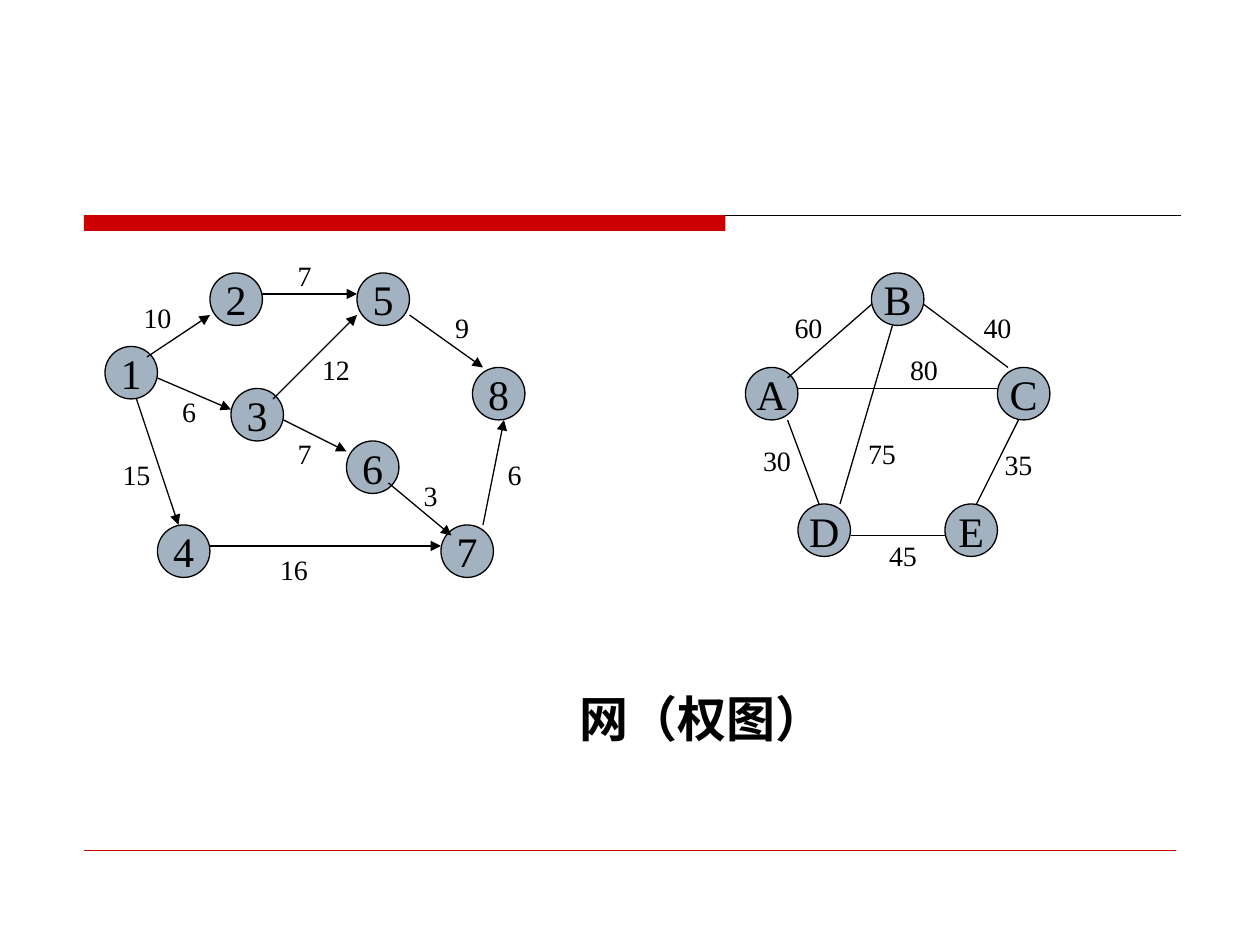
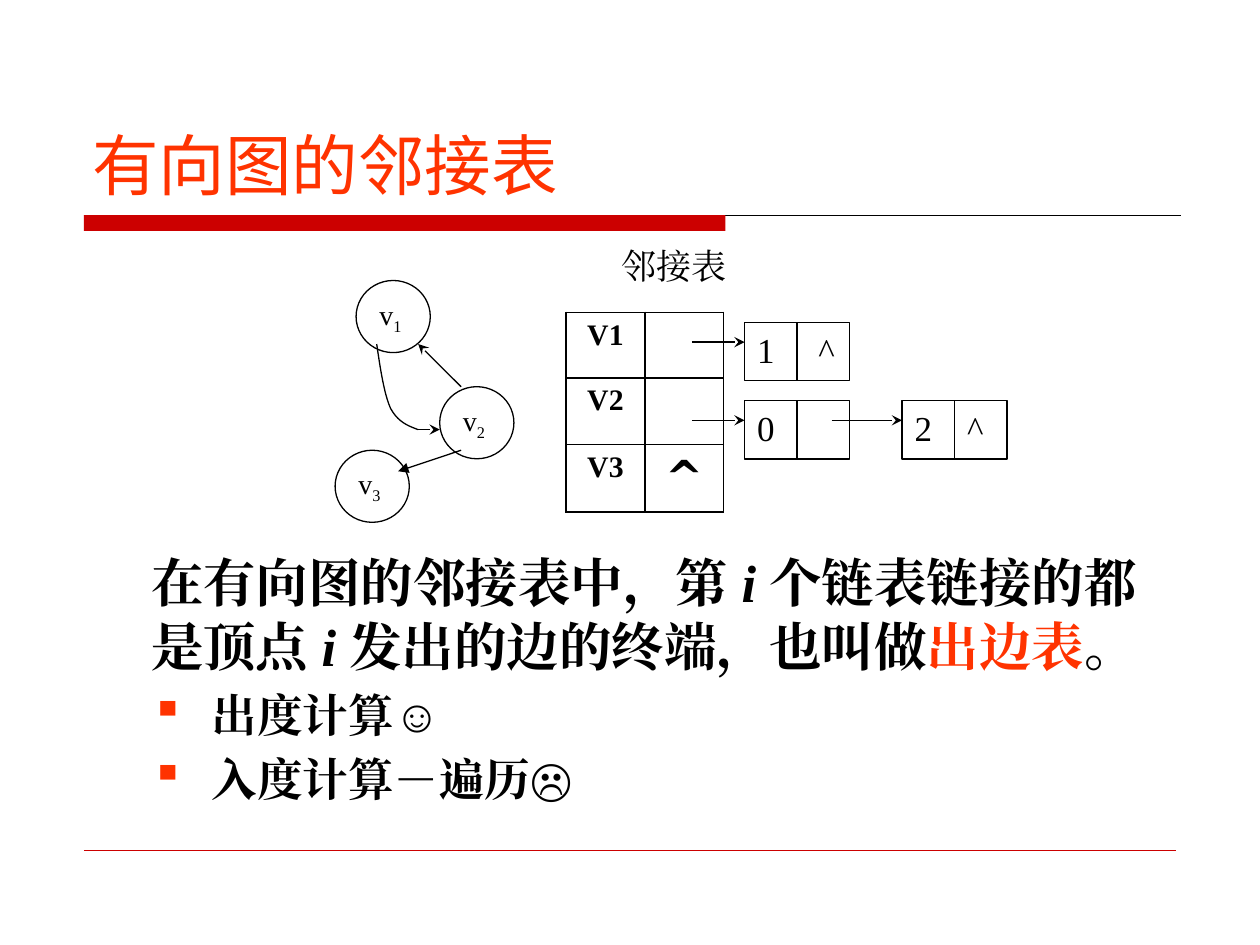
from lxml.etree import SubElement
from pptx import Presentation
from pptx.dml.color import RGBColor
from pptx.enum.shapes import MSO_CONNECTOR, MSO_SHAPE
from pptx.enum.text import MSO_ANCHOR, PP_ALIGN
from pptx.oxml.ns import qn
from pptx.util import Pt

SERIF = "Times New Roman"
THEME = {
    "black": RGBColor(0, 0, 0),
    "white": RGBColor(255, 255, 255),
    "band": RGBColor(0xCC, 0, 0),
    "accent": RGBColor(0xFF, 0x33, 0),
    "node": RGBColor(0xA3, 0xB2, 0xC1),
    "title": {"name": "DejaVu Sans", "size": Pt(38), "bold": False},
    "caption": {"name": "Noto Sans CJK SC", "size": Pt(28), "bold": True},
    "vertex": {"name": SERIF, "size": Pt(24)},
    "weight": {"name": SERIF, "size": Pt(16)},
    "list": {"name": SERIF, "size": Pt(20)},
    "cell": {"name": SERIF, "size": Pt(17), "bold": True},
    "null": {"name": "DejaVu Sans", "size": Pt(26), "bold": True},
    "body": {"name": SERIF, "size": Pt(30), "bold": True},
    "bullet": {"name": SERIF, "size": Pt(26), "bold": True},
}


def add_run(paragraph, text, style, color="black", **extra):
    run = paragraph.add_run()
    run.text = text
    for key, value in {**THEME[style], **extra}.items():
        setattr(run.font, key, value)
    run.font.color.rgb = THEME[color]
    SubElement(run.font._element, qn("a:ea"), typeface=run.font.name)
    return run


def add_line(slide, start, end, arrow=None, color="black", width=0.75):
    line = slide.shapes.add_connector(
        MSO_CONNECTOR.STRAIGHT, *(Pt(value) for value in (*start, *end)))
    line.line.color.rgb = THEME[color]
    line.line.width = Pt(width)
    if arrow:
        SubElement(line.line._get_or_add_ln(), qn("a:tailEnd"), type=arrow)
    SubElement(line._element.spPr, qn("a:effectLst"))
    return line


presentation = Presentation()
presentation.slide_width, presentation.slide_height = Pt(720), Pt(540)
network_slide = presentation.slides.add_slide(presentation.slide_layouts[6])
list_slide = presentation.slides.add_slide(presentation.slide_layouts[5])

# Shared band and footer rule
for slide in (network_slide, list_slide):
    add_line(slide, (48, 123), (674.8, 123))
    band = slide.shapes.add_shape(MSO_SHAPE.RECTANGLE, Pt(48), Pt(123), Pt(366.6), Pt(9))
    band.shadow.inherit = False
    band.fill.solid()
    band.fill.fore_color.rgb = THEME["band"]
    band.line.fill.background()
    add_line(slide, (48, 486), (672, 486), color="band", width=0.25)

# Slide 1: vertices of the directed and the undirected network
vertices = {
    "1": (60, 198), "2": (120, 156), "3": (132, 222), "5": (204, 156),
    "6": (198, 252), "8": (270, 210), "7": (252, 300), "4": (90, 300),
    "A": (426, 210), "B": (498, 156), "D": (456, 288), "C": (570, 210),
    "E": (540, 288),
}
for name, (left, top) in vertices.items():
    vertex = network_slide.shapes.add_shape(
        MSO_SHAPE.OVAL, Pt(left), Pt(top), Pt(30), Pt(30))
    vertex.shadow.inherit = False
    vertex.fill.solid()
    vertex.fill.fore_color.rgb = THEME["node"]
    vertex.line.color.rgb = THEME["black"]
    vertex.line.width = Pt(0.75)
    vertex.text_frame.word_wrap = False
    vertex.text_frame.vertical_anchor = MSO_ANCHOR.MIDDLE
    paragraph = vertex.text_frame.paragraphs[0]
    paragraph.alignment = PP_ALIGN.CENTER
    add_run(paragraph, name, "vertex")

# Edges: start, end, weight, corner of the weight's box
directed_edges = [
    ((84, 204), (120, 180), "10", (66, 168)),
    ((150, 168), (204, 168), "7", (150, 144)),
    ((234, 180), (276, 210), "9", (240, 174)),
    ((90, 216), (132, 234), "6", (84, 222)),
    ((78, 228), (102, 300), "15", (54, 258)),
    ((120, 312), (252, 312), "16", (144, 312)),
    ((162, 240), (198, 258), "7", (150, 246)),
    ((222, 276), (258, 306), "3", (222, 270)),
    ((276, 300), (288, 240), "6", (270, 258)),
    ((156, 228), (204, 180), "12", (168, 198)),
]
undirected_edges = [
    ((498, 174), (450, 216), "60", (438, 174)),
    ((450, 240), (468, 288), "30", (420, 250)),
    ((486, 306), (540, 306), "45", (492, 304)),
    ((558, 288), (582, 240), "35", (558, 252)),
    ((528, 174), (576, 210), "40", (546, 174)),
    ((456, 222), (570, 222), "80", (504, 198)),
    ((510, 186), (480, 288), "75", (480, 246)),
]
for edges, arrow in ((directed_edges, "triangle"), (undirected_edges, None)):
    for start, end, weight, (left, top) in edges:
        add_line(network_slide, start, end, arrow)
        label = network_slide.shapes.add_textbox(Pt(left), Pt(top), Pt(48), Pt(26.5))
        label.text_frame.word_wrap = True
        paragraph = label.text_frame.paragraphs[0]
        paragraph.alignment = PP_ALIGN.CENTER
        add_run(paragraph, weight, "weight")

# Captions of both slides
for slide, text, style, box in (
    (network_slide, "网（权图）", "caption", (324, 390, 160.6, 41)),
    (list_slide, "邻接表", "list", (348, 136, 102, 31)),
):
    caption = slide.shapes.add_textbox(*(Pt(value) for value in box))
    caption.text_frame.word_wrap = True
    add_run(caption.text_frame.paragraphs[0], text, style)

# Slide 2: title
title = list_slide.shapes.title
title.left, title.top, title.width, title.height = Pt(45.4), Pt(23.8), Pt(630), Pt(96)
title.text_frame.vertical_anchor = MSO_ANCHOR.BOTTOM
paragraph = title.text_frame.paragraphs[0]
paragraph.alignment = PP_ALIGN.LEFT
add_run(paragraph, "有向图的邻接表", "title", "accent")

# Explanation and its two bullets
body = list_slide.shapes.add_textbox(Pt(42.5), Pt(309.6), Pt(632.2), Pt(164))
body.text_frame.word_wrap = True
paragraph = body.text_frame.paragraphs[0]
paragraph.line_spacing = Pt(37)
paragraph._p.get_or_add_pPr().set("marL", str(Pt(36.7)))
for text, italic, color in (
    ("在有向图的邻接表中，第 ", False, "black"), ("i ", True, "black"),
    ("个链表链接的都是顶点 ", False, "black"), ("i ", True, "black"),
    ("发出的边的终端，也叫做", False, "black"), ("出边表", False, "accent"),
    ("。", False, "black"),
):
    add_run(paragraph, text, "body", color, italic=italic)
for text in ("出度计算☺", "入度计算－遍历☹"):
    paragraph = body.text_frame.add_paragraph()
    paragraph.line_spacing = Pt(31)
    paragraph.space_before = Pt(5.5)
    properties = paragraph._p.get_or_add_pPr()
    properties.set("marL", str(Pt(71.3)))
    properties.set("indent", str(Pt(-34.6)))
    bullet_color = SubElement(properties, qn("a:buClr"))
    SubElement(bullet_color, qn("a:srgbClr"), val=str(THEME["accent"]))
    SubElement(properties, qn("a:buChar"), char="▪")
    add_run(paragraph, text, "bullet")

# Linked-list cells: text, corner, tab stop of the null sign
for text, left, top, tab in (
    ("1\t^", 425.5, 184.3, 35), ("0", 425.5, 229, None), ("2\t^", 515.5, 229, 30),
):
    cell = list_slide.shapes.add_shape(
        MSO_SHAPE.RECTANGLE, Pt(left), Pt(top), Pt(60), Pt(33.3))
    cell.shadow.inherit = False
    cell.fill.solid()
    cell.fill.fore_color.rgb = THEME["white"]
    cell.line.color.rgb = THEME["black"]
    cell.line.width = Pt(0.75)
    cell.text_frame.vertical_anchor = MSO_ANCHOR.TOP
    paragraph = cell.text_frame.paragraphs[0]
    paragraph.alignment = PP_ALIGN.LEFT
    if tab:
        tabs = SubElement(paragraph._p.get_or_add_pPr(), qn("a:tabLst"))
        SubElement(tabs, qn("a:tab"), pos=str(Pt(tab)), algn="l")
    add_run(paragraph, text, "list")
    divider = add_line(list_slide, (left + 30, top), (left + 30, top + 33.3))
    divider.begin_connect(cell, 0)
    divider.end_connect(cell, 2)

# Vertex table
table = list_slide.shapes.add_table(3, 2, Pt(323.5), Pt(178.5), Pt(90), Pt(113.8)).table
table.first_row = table.horz_banding = False
for column in table.columns:
    column.width = Pt(45)
for row, height in zip(table.rows, (37.4, 38.2, 38.2)):
    row.height = Pt(height)
rows = (("V1", ""), ("V2", ""), ("V3", "^"))
for row_index, texts in enumerate(rows):
    for column_index, text in enumerate(texts):
        cell = table.cell(row_index, column_index)
        properties = cell._tc.get_or_add_tcPr()
        for side in ("lnL", "lnR", "lnT", "lnB"):
            border = SubElement(properties, qn(f"a:{side}"), w=str(Pt(1)))
            fill = SubElement(border, qn("a:solidFill"))
            SubElement(fill, qn("a:srgbClr"), val=str(THEME["black"]))
        cell.fill.background()
        if text:
            paragraph = cell.text_frame.paragraphs[0]
            paragraph.alignment = PP_ALIGN.CENTER
            add_run(paragraph, text, "null" if text == "^" else "cell")

# Pointers from the table and between cells
for start, end, y in ((395.3, 425.5, 195.5), (395.3, 425.5, 240.2), (475.2, 515.5, 240.2)):
    add_line(list_slide, (start, y), (end, y), "stealth")

# Directed graph: vertices
for number, left, top in (("1", 203.5, 160.3), ("2", 251.3, 221), ("3", 191.5, 257.3)):
    vertex = list_slide.shapes.add_shape(
        MSO_SHAPE.OVAL, Pt(left), Pt(top), Pt(42.4), Pt(41.2))
    vertex.shadow.inherit = False
    vertex.fill.solid()
    vertex.fill.fore_color.rgb = THEME["white"]
    vertex.line.color.rgb = THEME["black"]
    vertex.line.width = Pt(0.75)
    vertex.text_frame.vertical_anchor = MSO_ANCHOR.TOP
    paragraph = vertex.text_frame.paragraphs[0]
    paragraph.alignment = PP_ALIGN.LEFT
    add_run(paragraph, "v", "weight")
    subscript = add_run(paragraph, number, "weight")
    subscript.font._element.set("baseline", "-25000")

# Directed graph: arcs, the one from v1 to v2 curved
add_line(list_slide, (263.5, 257.3), (227.5, 269.3), "triangle")
add_line(list_slide, (263.5, 221), (239, 196.6), "stealth")
add_line(list_slide, (239, 245.5), (251.3, 245.5), "stealth")
curves = (
    ((215.3, 196.6), (217.4, 211), (219.6, 225.4), (223.2, 233.3)),
    ((223.2, 233.3), (227.5, 241.2), (233.3, 243.4), (239, 245.5)),
)
points = []
for curve in curves:
    for step in range(1, 11):
        t = step / 10
        factors = ((1 - t) ** 3, 3 * t * (1 - t) ** 2, 3 * t * t * (1 - t), t ** 3)
        points.append(tuple(
            Pt(sum(factor * value for factor, value in zip(factors, axis)))
            for axis in zip(*curve)))
builder = list_slide.shapes.build_freeform(Pt(215.3), Pt(196.6))
builder.add_line_segments(points, close=False)
arc = builder.convert_to_shape()
arc.shadow.inherit = False
arc.fill.background()
arc.line.color.rgb = THEME["black"]
arc.line.width = Pt(0.75)

presentation.save("out.pptx")
